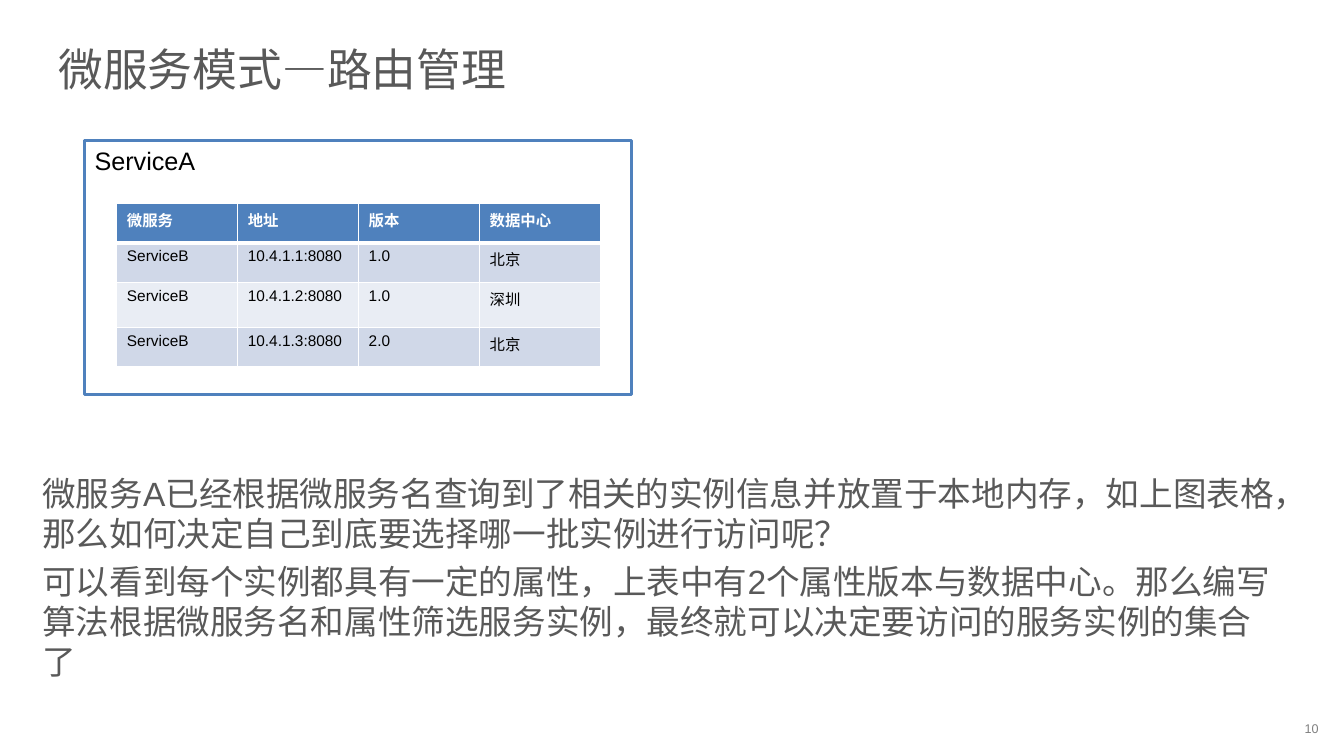
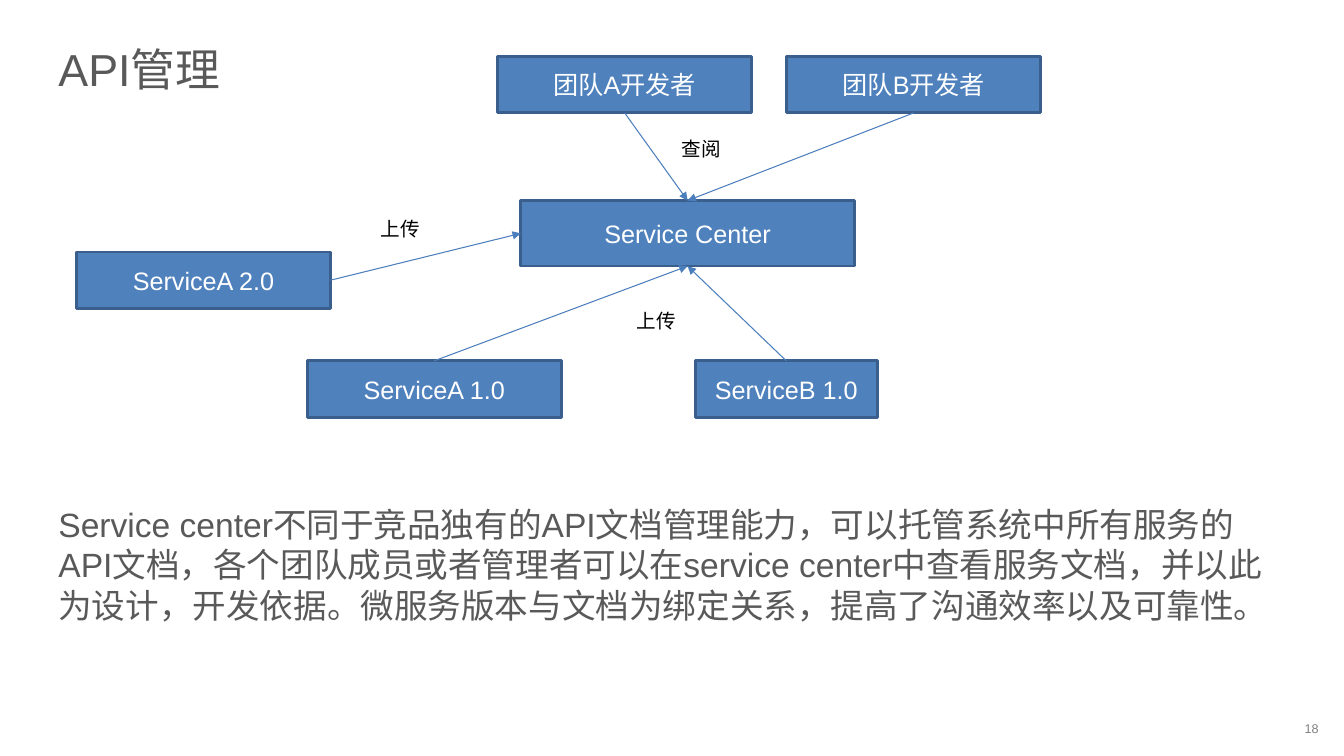
from dataclasses import dataclass

from pptx import Presentation
from pptx.dml.color import RGBColor
from pptx.enum.shapes import MSO_CONNECTOR as Link, MSO_SHAPE as Form
from pptx.enum.text import MSO_ANCHOR as Anchor, PP_ALIGN as Align
from pptx.oxml.ns import qn
from pptx.shapes.autoshape import Shape
from pptx.slide import Slide
from pptx.table import _Cell as Cell
from pptx.text.text import TextFrame
from pptx.util import Inches, Pt
from lxml.etree import SubElement

FONT = "Arial"
BLUE = RGBColor(0x4F, 0x81, 0xBD)
EDGE = RGBColor(0x3A, 0x5F, 0x8C)
ARROW = RGBColor(0x4B, 0x7E, 0xBC)
DARK = RGBColor(0x59, 0x59, 0x59)
GRAY = RGBColor(0x80, 0x80, 0x80)
BLACK = RGBColor(0, 0, 0)
WHITE = RGBColor(0xFF, 0xFF, 0xFF)
BANDS = (RGBColor(0xD0, 0xD8, 0xE8), RGBColor(0xE9, 0xED, 0xF4))

PAD = (0.13, 0.07)
TOP, LEFT, BOTTOM, RIGHT = range(4)  # connection sites of a rectangle


@dataclass(frozen=True)
class Area:
    left: float
    top: float
    width: float
    height: float

    def lengths(self) -> tuple[int, ...]:
        return tuple(Inches(n) for n in (self.left, self.top, self.width, self.height))


@dataclass(frozen=True)
class Style:
    size: float
    color: RGBColor
    bold: bool = False
    align: Align = Align.LEFT
    before: float = 0


@dataclass(frozen=True)
class Node:
    text: str
    area: Area


@dataclass(frozen=True)
class Edge:
    start: str
    start_site: int
    end: str
    end_site: int


HEAD = Style(32, DARK)
BODY = Style(24, DARK, before=5)
PAGE = Style(9, GRAY)
LABEL = Style(14, BLACK)
FRAME = Style(18, BLACK)
NODE = Style(18, WHITE, align=Align.CENTER)
CELL_HEAD = Style(11, WHITE, bold=True)
CELL = Style(11, BLACK)

COLS = [1.2] * 4
ROWS = [0.39, 0.39, 0.45, 0.39]
ROUTES = [
    ("微服务", "地址", "版本", "数据中心"),
    ("ServiceB", "10.4.1.1:8080", "1.0", "北京"),
    ("ServiceB", "10.4.1.2:8080", "1.0", "深圳"),
    ("ServiceB", "10.4.1.3:8080", "2.0", "北京"),
]

NODES = [
    Node("Service Center", Area(5.17, 1.99, 3.31, 0.65)),
    Node("ServiceA 1.0", Area(3.05, 3.58, 2.52, 0.56)),
    Node("ServiceB 1.0", Area(6.9, 3.58, 1.81, 0.56)),
    Node("ServiceA 2.0", Area(0.76, 2.5, 2.52, 0.56)),
    Node("团队A开发者", Area(4.94, 0.56, 2.52, 0.56)),
    Node("团队B开发者", Area(7.81, 0.56, 2.52, 0.56)),
]
EDGES = [
    Edge("团队A开发者", BOTTOM, "Service Center", TOP),
    Edge("团队B开发者", BOTTOM, "Service Center", TOP),
    Edge("ServiceA 2.0", RIGHT, "Service Center", LEFT),
    Edge("ServiceA 1.0", TOP, "Service Center", BOTTOM),
    Edge("ServiceB 1.0", TOP, "Service Center", BOTTOM),
]
LABELS = [("查阅", 6.67, 1.31), ("上传", 3.68, 2.1), ("上传", 6.22, 3.02)]


def write(frame: TextFrame, style: Style, *texts: str) -> None:
    """Put each text in a paragraph of its own."""
    for i, text in enumerate(texts):
        para = frame.add_paragraph() if i else frame.paragraphs[0]
        para.alignment = style.align
        para.space_before = Pt(style.before)
        run = para.add_run()
        run.text = text
        font = run.font
        font.name, font.size, font.bold = FONT, Pt(style.size), style.bold
        font.color.rgb = style.color


def set_frame(frame: TextFrame, pad: tuple[float, float], anchor: Anchor) -> None:
    frame.word_wrap = True
    frame.vertical_anchor = anchor
    frame.margin_left = frame.margin_right = Inches(pad[0])
    frame.margin_top = frame.margin_bottom = Inches(pad[1])


def add_text(slide: Slide, area: Area, style: Style, *texts: str,
             pad: tuple[float, float] = (0.1, 0.05),
             anchor: Anchor = Anchor.TOP) -> None:
    frame = slide.shapes.add_textbox(*area.lengths()).text_frame
    set_frame(frame, pad, anchor)
    write(frame, style, *texts)


def add_box(slide: Slide, node: Node, style: Style, fill: RGBColor,
            line: RGBColor, anchor: Anchor = Anchor.MIDDLE) -> Shape:
    box = slide.shapes.add_shape(Form.RECTANGLE, *node.area.lengths())
    box.shadow.inherit = False
    box.fill.solid()
    box.fill.fore_color.rgb = fill
    box.line.color.rgb = line
    box.line.width = Pt(2)
    box.text_frame.vertical_anchor = anchor
    write(box.text_frame, style, node.text)
    return box


def add_arrow(slide: Slide, start: Shape, start_site: int,
              end: Shape, end_site: int) -> None:
    arrow = slide.shapes.add_connector(Link.STRAIGHT, 0, 0, 0, 0)
    arrow.begin_connect(start, start_site)
    arrow.end_connect(end, end_site)
    arrow.line.color.rgb = ARROW
    arrow.line.width = Pt(0.75)
    SubElement(arrow.line._get_or_add_ln(), qn("a:tailEnd"), type="triangle")
    SubElement(arrow._element.spPr, qn("a:effectLst"))


def set_borders(cell: Cell, widths: dict[str, float]) -> None:
    props = cell._tc.get_or_add_tcPr()
    for side, width in widths.items():
        line = SubElement(props, qn(f"a:ln{side}"), w=str(Pt(width)))
        fill = SubElement(line, qn("a:solidFill"))
        SubElement(fill, qn("a:srgbClr"), val=str(WHITE))


def add_routes(slide: Slide) -> None:
    area = Area(1.16, 2.02, sum(COLS), sum(ROWS))
    table = slide.shapes.add_table(len(ROWS), len(COLS), *area.lengths()).table
    for col, width in zip(table.columns, COLS):
        col.width = Inches(width)
    for r, texts in enumerate(ROUTES):
        table.rows[r].height = Inches(ROWS[r])
        for c, text in enumerate(texts):
            cell = table.cell(r, c)
            set_borders(cell, {"L": 1, "R": 1, "T": 3 if r == 1 else 1,
                               "B": 3 if r == 0 else 1})
            cell.fill.solid()
            cell.fill.fore_color.rgb = BANDS[(r - 1) % 2] if r else BLUE
            write(cell.text_frame, CELL if r else CELL_HEAD, text)


def add_slide(deck: Presentation, title: str, page: int) -> Slide:
    slide = deck.slides.add_slide(deck.slide_layouts[5])
    head = slide.shapes.title
    head.left, head.top, head.width, head.height = Area(0.45, 0.36, 12.44, 0.64).lengths()
    set_frame(head.text_frame, PAD, Anchor.MIDDLE)
    write(head.text_frame, HEAD, title)
    add_text(slide, Area(12.95, 7.13, 0.36, 0.2), PAGE, str(page),
             pad=(0, 0), anchor=Anchor.MIDDLE)
    return slide


def add_routing(deck: Presentation) -> None:
    slide = add_slide(deck, "微服务模式—路由管理", 10)
    add_box(slide, Node("ServiceA", Area(0.84, 1.39, 5.43, 2.52)),
            FRAME, WHITE, BLUE, Anchor.TOP)
    add_text(
        slide, Area(0.29, 4.62, 12.52, 2.52), BODY,
        "微服务A已经根据微服务名查询到了相关的实例信息并放置于本地内存，如上图表格，"
        "那么如何决定自己到底要选择哪一批实例进行访问呢？",
        "可以看到每个实例都具有一定的属性，上表中有2个属性版本与数据中心。"
        "那么编写算法根据微服务名和属性筛选服务实例，最终就可以决定要访问的服务实例的集合了",
        pad=PAD)
    add_routes(slide)


def add_api(deck: Presentation) -> None:
    slide = add_slide(deck, "API管理", 18)
    add_text(
        slide, Area(0.45, 4.93, 12.44, 1.96), BODY,
        "Service center不同于竞品独有的API文档管理能力，可以托管系统中所有服务的API文档，"
        "各个团队成员或者管理者可以在service center中查看服务文档，并以此为设计，开发依据。"
        "微服务版本与文档为绑定关系，提高了沟通效率以及可靠性。",
        pad=PAD)
    boxes = {node.text: add_box(slide, node, NODE, BLUE, EDGE) for node in NODES}
    for edge in EDGES:
        add_arrow(slide, boxes[edge.start], edge.start_site,
                  boxes[edge.end], edge.end_site)
    for text, left, top in LABELS:
        add_text(slide, Area(left, top, 0.87, 0.34), LABEL, text)


def main() -> None:
    deck = Presentation()
    deck.slide_width, deck.slide_height = Inches(13.34), Inches(7.5)
    add_routing(deck)
    add_api(deck)
    deck.save("out.pptx")


if __name__ == "__main__":
    main()
